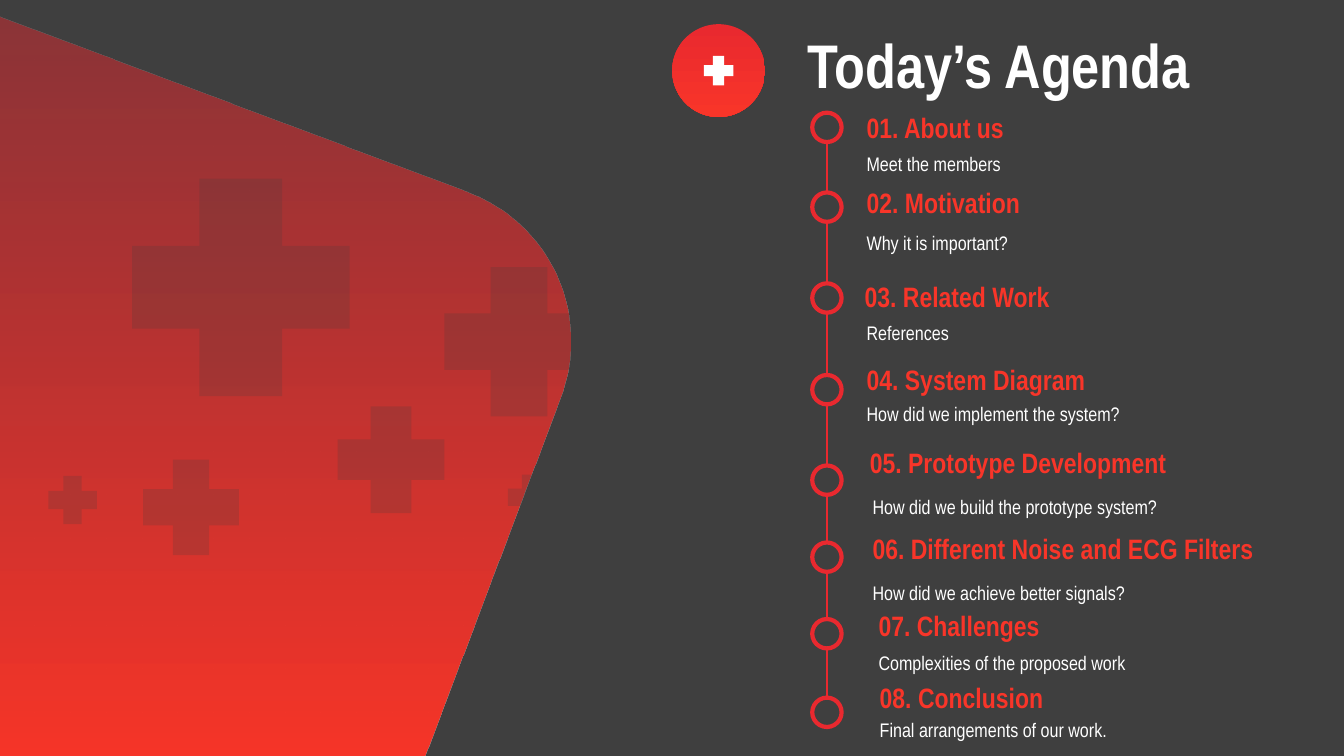
from pptx import Presentation, util as u
from pptx.dml.color import RGBColor
from pptx.enum import shapes, text
from pptx.oxml.xmlchemy import OxmlElement

Cm, Pt = u.Cm, u.Pt
FONT = "Arial Narrow"
HUES = {"dark": "3F3F3F", "rose": "E9292F", "red": "F83529", "white": "FFFFFF"}
OVAL, CROSS = shapes.MSO_SHAPE.OVAL, shapes.MSO_SHAPE.CROSS
RING = 0.74

# Left, top and size of each cross on the panel
MARKS = [(3.33, 4.5, 5.48), (11.2, 6.73, 3.76), (8.51, 10.24, 2.69),
         (3.61, 11.58, 2.41), (12.8, 11.96, 1.14), (1.22, 11.99, 1.22)]

# Ring top, then heading and note, each with its left, top and width in the list box
ITEMS = [
    (0, "01. About us", (1.12, -0.17, 5.31), "Meet the members", (1.12, 0.56, 7.29)),
    (2.01, "02. Motivation", (1.12, 1.71, 5.31), "Why it is important?", (1.12, 2.57, 7.29)),
    (4.3, "03. Related Work", (1.07, 4.07, 7.29), "References", (1.12, 4.83, 7.29)),
    (6.61, "04. System Diagram", (1.12, 6.18, 7.29),
     "How did we implement the system?", (1.12, 6.86, 8.36)),
    (8.89, "05. Prototype Development", (1.2, 8.26, 10.44),
     "How did we build the prototype system?", (1.27, 9.2, 9.91)),
    (10.83, "06. Different Noise and ECG Filters", (1.27, 10.42, 10.74),
     "How did we achieve better signals?", (1.27, 11.38, 9.91)),
    (12.76, "07. Challenges", (1.42, 12.37, 6.15),
     "Complexities of the proposed work", (1.42, 13.14, 8.69)),
    (14.74, "08. Conclusion", (1.45, 14.18, 6.15),
     "Final arrangements of our work.", (1.45, 14.84, 9.91)),
]


def hue(name):
    return RGBColor.from_string(HUES[name])


def paint(shape, name):
    shape.shadow.inherit = False
    shape.fill.solid()
    shape.fill.fore_color.rgb = hue(name)
    shape.line.fill.background()


def fade(shape):
    """Fill from rose at the top to red at the bottom."""
    shape.shadow.inherit = False
    shape.line.fill.background()
    shape.fill.gradient()
    shape.fill.gradient_angle = 270
    for stop, name in zip(shape.fill.gradient_stops, ("rose", "red")):
        stop.color.rgb = hue(name)


def veil(shape, share):
    """Make the first fill colour partly transparent."""
    alpha = OxmlElement("a:alpha")
    alpha.set("val", str(share * 1000))
    shape.element.spPr.xpath(".//a:srgbClr")[0].append(alpha)


def place(slide, kind, x, y, size):
    return slide.shapes.add_shape(kind, Cm(x), Cm(y), Cm(size), Cm(size))


def cross(slide, x, y, size, name):
    plus = place(slide, CROSS, x, y, size)
    plus.adjustments[0] = 0.31
    paint(plus, name)
    return plus


def style(para, size, name, bold=False):
    for run in para.runs:
        run.font.name, run.font.size, run.font.bold = FONT, Pt(size), bold
        run.font.color.rgb = hue(name)


def curve(a, b, c, d, steps=40):
    """Points along a cubic curve."""
    for n in range(steps + 1):
        t = n / steps
        s = 1 - t
        yield tuple(s**3 * i + 3 * s * s * t * j + 3 * s * t * t * k + t**3 * m
                    for i, j, k, m in zip(a, b, c, d))


def panel(slide, x, y):
    """Rounded red panel with faint crosses."""
    nose = curve((11.76, 4.83), (13.84, 5.61), (14.91, 7.92), (14.12, 10.01))
    rim = [*nose, (10.71, 19.05), (0, 19.05)]
    pen = slide.shapes.build_freeform(Cm(x), Cm(y + 0.41))
    pen.add_line_segments([(Cm(x + i), Cm(y + j)) for i, j in rim], close=True)
    sheet = pen.convert_to_shape()
    fade(sheet)
    veil(sheet, 45)
    for i, j, size in MARKS:
        veil(cross(slide, x + i, y + j, size, "dark"), 20)


def header(slide, x, y):
    """Round badge and slide title."""
    disc, plus = 2.34, 0.74
    fade(place(slide, OVAL, x, y, disc))
    gap = (disc - plus) / 2
    cross(slide, x + gap, y + gap, plus, "white")

    title = slide.shapes.title
    title.left, title.top = Cm(x + 3.15), Cm(y - 0.4)
    title.width, title.height = Cm(11.48), Cm(2.82)
    frame = title.text_frame
    frame.text = "Today’s Agenda"
    frame.auto_size = text.MSO_AUTO_SIZE.NONE
    frame.vertical_anchor = text.MSO_ANCHOR.MIDDLE
    frame.paragraphs[0].alignment = text.PP_ALIGN.LEFT
    style(frame.paragraphs[0], 44, "white", True)


def label(slide, x, y, width, height, words):
    box = slide.shapes.add_textbox(Cm(x), Cm(y), Cm(width), Cm(height))
    frame = box.text_frame
    frame.word_wrap = True
    frame.auto_size = text.MSO_AUTO_SIZE.SHAPE_TO_FIT_TEXT
    frame.text = words
    return frame.paragraphs[0]


def agenda(slide, x, y):
    """Timeline of rings, each with a heading and a note."""
    mid = Cm(x + RING / 2)
    tops = [y + item[0] for item in ITEMS]
    for top, end in zip(tops, tops[1:]):
        link = slide.shapes.add_connector(
            shapes.MSO_CONNECTOR.STRAIGHT, mid, Cm(top + RING), mid, Cm(end))
        link.line.color.rgb = hue("rose")
        link.line.width = Pt(1.5)
        link.element.spPr.append(OxmlElement("a:effectLst"))

    for top, (_, head, spot, note, seat) in zip(tops, ITEMS):
        ring = place(slide, OVAL, x, top, RING)
        paint(ring, "dark")
        ring.line.color.rgb = hue("rose")
        ring.line.width = Pt(3)

        para = label(slide, x + spot[0], y + spot[1], spot[2], 1.12, head)
        style(para, 20, "red", True)
        para = label(slide, x + seat[0], y + seat[1], seat[2], 1.04, note)
        para.line_spacing = 1.5
        style(para, 14, "white")


def main():
    deck = Presentation()
    deck.slide_width, deck.slide_height = Cm(33.87), Cm(19.05)
    slide = deck.slides.add_slide(deck.slide_layouts[5])
    slide.background.fill.solid()
    slide.background.fill.fore_color.rgb = hue("dark")
    panel(slide, 0, 0)
    header(slide, 16.94, 0.61)
    agenda(slide, 20.47, 2.84)
    deck.save("out.pptx")


if __name__ == "__main__":
    main()
